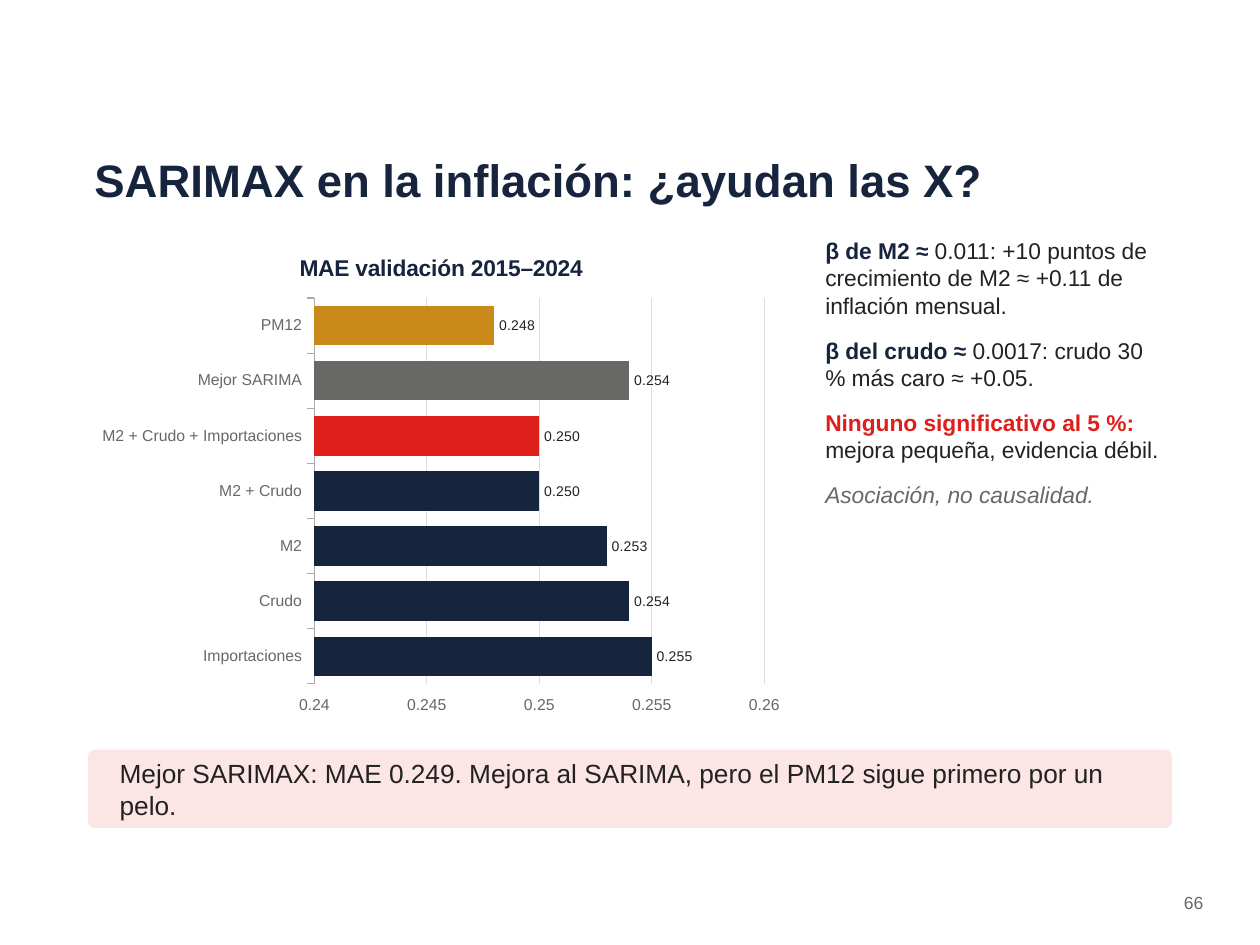
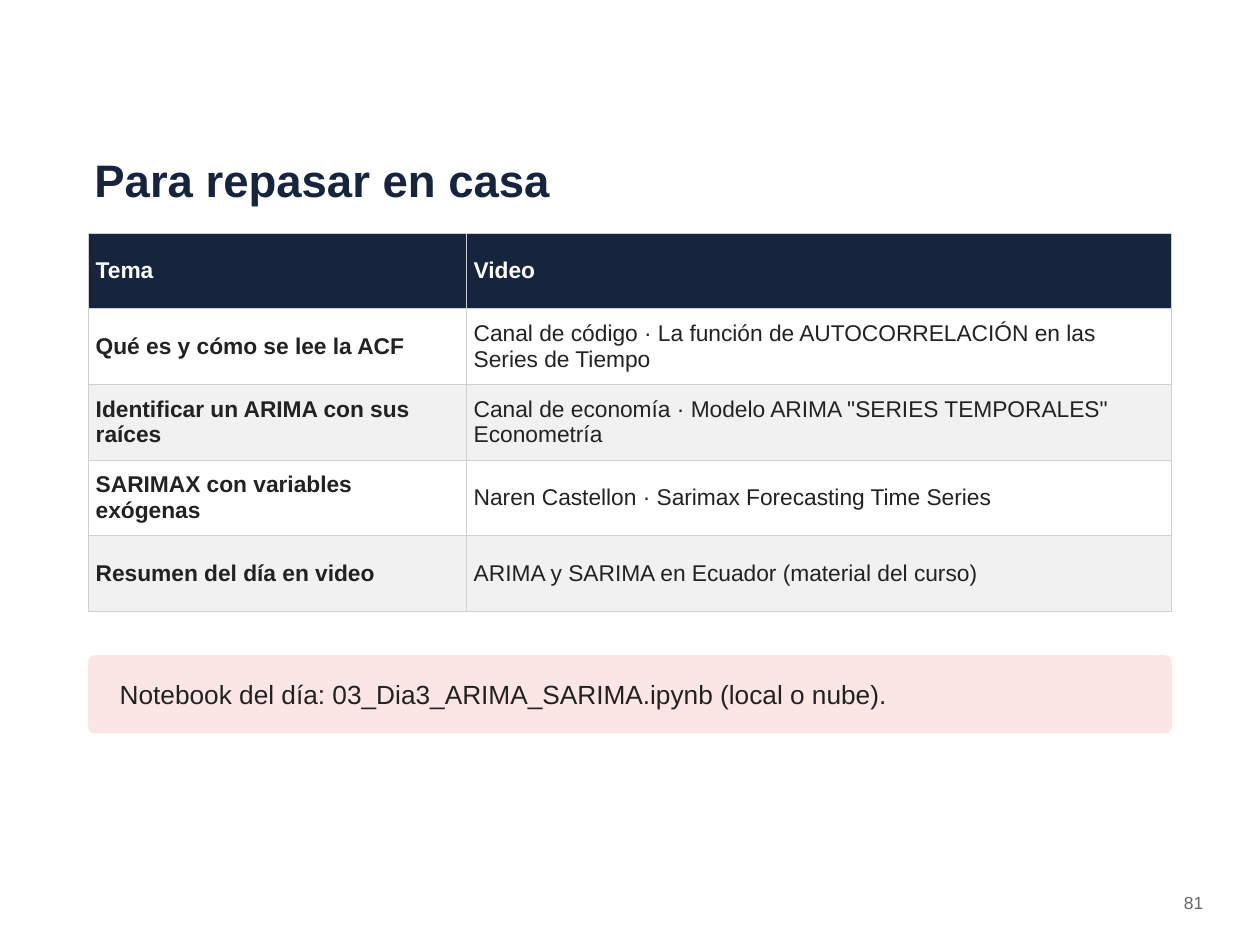
from lxml import etree
from pptx import Presentation
from pptx.chart.data import CategoryChartData
from pptx.dml.color import RGBColor
from pptx.enum.chart import XL_CHART_TYPE, XL_LABEL_POSITION, XL_TICK_LABEL_POSITION, XL_TICK_MARK
from pptx.enum.shapes import MSO_SHAPE
from pptx.enum.text import MSO_ANCHOR, PP_ALIGN
from pptx.oxml.ns import qn
from pptx.util import Inches, Pt

BAR = XL_CHART_TYPE.BAR_CLUSTERED
OUTSIDE_END = XL_LABEL_POSITION.OUTSIDE_END
LOW = XL_TICK_LABEL_POSITION.LOW
TICK_OUT = XL_TICK_MARK.OUTSIDE
ROUNDED = MSO_SHAPE.ROUNDED_RECTANGLE
TOP, MIDDLE = MSO_ANCHOR.TOP, MSO_ANCHOR.MIDDLE
LEFT, RIGHT = PP_ALIGN.LEFT, PP_ALIGN.RIGHT

COLORS = {
    "navy": "16243D", "red": "DF1F1C", "gold": "C98A1A", "gray": "686867",
    "text": "222222", "white": "FFFFFF", "stripe": "F1F1F1", "callout": "FBE6E5",
    "border": "D0D0D0", "axis": "AAAAAA", "grid": "DDDDDD",
}
MARGIN, CONTENT_WIDTH, CONTENT_TOP = 0.7, 8.6, 1.85


def rgb(name):
    return RGBColor.from_string(COLORS[name])


def set_attributes(target, values):
    for name, value in values.items():
        setattr(target, name, value)


class Deck:
    """Holds the shared style and the slide being built."""

    font_name = "Arial"

    def __init__(self):
        self.presentation = Presentation()
        self.presentation.slide_width = Inches(10)
        self.presentation.slide_height = Inches(7.5)
        self.slide = None

    def add_slide(self, title, number):
        self.slide = self.presentation.slides.add_slide(self.presentation.slide_layouts[6])
        self.add_text((MARGIN, 1.05, CONTENT_WIDTH, 0.75),
                      [[(title, "navy", {"bold": True})]], 26, anchor=MIDDLE)
        self.add_text((9, 7.05, 0.6, 0.3), [[(number, "gray", {})]], 10, align=RIGHT)

    def style_font(self, font, size, color, **extra):
        set_attributes(font, {"name": self.font_name, "size": Pt(size), **extra})
        font.color.rgb = rgb(color)

    def add_text(self, box, paragraphs, size, anchor=TOP, align=LEFT, space_after=4):
        """Each paragraph is a list of (text, color, font values) runs."""
        frame = self.slide.shapes.add_textbox(*map(Inches, box)).text_frame
        set_attributes(frame, {
            "word_wrap": True, "vertical_anchor": anchor,
            "margin_left": Inches(0.05), "margin_right": Inches(0.05),
            "margin_top": Inches(0.03), "margin_bottom": Inches(0.03),
        })
        for index, runs in enumerate(paragraphs):
            paragraph = frame.add_paragraph() if index else frame.paragraphs[0]
            set_attributes(paragraph, {"alignment": align, "space_after": Pt(space_after)})
            for text, color, extra in runs:
                run = paragraph.add_run()
                run.text = text
                self.style_font(run.font, size, color, **extra)

    def add_callout(self, top, text):
        height = 0.62
        band = self.slide.shapes.add_shape(
            ROUNDED, *map(Inches, (MARGIN, top, CONTENT_WIDTH, height)))
        band.adjustments[0] = 0.08
        band.shadow.inherit = False
        band.fill.solid()
        band.fill.fore_color.rgb = rgb("callout")
        band.line.fill.background()
        self.add_text((MARGIN + 0.2, top, CONTENT_WIDTH - 0.4, height),
                      [[(text, "text", {})]], 15, anchor=MIDDLE)

    def add_bar_chart(self, box, title, bars, minimum, maximum):
        """Each bar is (category, value, color), listed from the bottom up."""
        data = CategoryChartData()
        data.categories = [category for category, _, _ in bars]
        data.add_series("MAE", [value for _, value, _ in bars])
        chart = self.slide.shapes.add_chart(BAR, *map(Inches, box), data).chart
        chart.has_legend = False
        set_attributes(chart.font, {"name": self.font_name, "size": Pt(9)})
        chart.has_title = True
        chart.chart_title.include_in_layout = False
        paragraph = chart.chart_title.text_frame.paragraphs[0]
        run = paragraph.add_run()
        run.text = title
        self.style_font(run.font, 13, "navy", bold=True)

        plot = chart.plots[0]
        set_attributes(plot, {"gap_width": 40, "vary_by_categories": False,
                              "has_data_labels": True})
        set_attributes(plot.data_labels, {
            "show_value": True, "position": OUTSIDE_END,
            "number_format": "0.000", "number_format_is_linked": False,
        })
        self.style_font(plot.data_labels.font, 8, "text")
        for index, (_, _, color) in enumerate(bars):
            fill = plot.series[0].points[index].format.fill
            fill.solid()
            fill.fore_color.rgb = rgb(color)

        for axis in (chart.category_axis, chart.value_axis):
            axis.major_tick_mark = TICK_OUT
            self.style_font(axis.tick_labels.font, 9, "gray")
        chart.category_axis.tick_label_position = LOW
        chart.category_axis.format.line.color.rgb = rgb("axis")
        chart.category_axis.format.line.width = Pt(0.75)
        set_attributes(chart.value_axis, {
            "minimum_scale": minimum, "maximum_scale": maximum, "has_major_gridlines": True})
        chart.value_axis.format.line.fill.background()
        gridline = chart.value_axis.major_gridlines.format.line
        gridline.color.rgb = rgb("grid")
        gridline.width = Pt(0.5)

    def add_cell_borders(self, cell):
        properties = cell._tc.get_or_add_tcPr()
        for side in ("L", "R", "T", "B"):
            line = etree.SubElement(properties, qn(f"a:ln{side}"), w=str(Pt(0.5)))
            fill = etree.SubElement(line, qn("a:solidFill"))
            etree.SubElement(fill, qn("a:srgbClr"), val=COLORS["border"])

    def add_table(self, top, column_widths, row_height, rows):
        """The first row is the header; the first column is bold."""
        table = self.slide.shapes.add_table(
            len(rows), len(column_widths), Inches(MARGIN), Inches(top),
            Inches(sum(column_widths)), Inches(row_height * len(rows))).table
        for column, width in zip(table.columns, column_widths):
            column.width = Inches(width)
        for row_index, row in enumerate(rows):
            is_header = row_index == 0
            background = "navy" if is_header else ("stripe", "white")[row_index % 2]
            for column_index, text in enumerate(row):
                cell = table.cell(row_index, column_index)
                set_attributes(cell, {
                    "vertical_anchor": MIDDLE,
                    "margin_left": Inches(0.06), "margin_right": Inches(0.06),
                    "margin_top": Inches(0.03), "margin_bottom": Inches(0.03),
                })
                self.add_cell_borders(cell)
                cell.fill.solid()
                cell.fill.fore_color.rgb = rgb(background)
                run = cell.text_frame.paragraphs[0].add_run()
                run.text = text
                self.style_font(run.font, 13, "white" if is_header else "text",
                                bold=is_header or column_index == 0)


def add_sarimax_slide(deck):
    deck.add_slide("SARIMAX en la inflación: ¿ayudan las X?", "66")
    deck.add_bar_chart((MARGIN, CONTENT_TOP, 5.6, 3.9), "MAE validación 2015–2024", [
        ("Importaciones", 0.255, "navy"),
        ("Crudo", 0.254, "navy"),
        ("M2", 0.253, "navy"),
        ("M2 + Crudo", 0.250, "navy"),
        ("M2 + Crudo + Importaciones", 0.250, "red"),
        ("Mejor SARIMA", 0.254, "gray"),
        ("PM12", 0.248, "gold"),
    ], 0.24, 0.26)
    bold = {"bold": True}
    deck.add_text((6.5, CONTENT_TOP, 2.8, 3.9), [
        [("β de M2 ≈ ", "navy", bold),
         ("0.011: +10 puntos de crecimiento de M2 ≈ +0.11 de inflación mensual.", "text", {})],
        [("β del crudo ≈ ", "navy", bold),
         ("0.0017: crudo 30 % más caro ≈ +0.05.", "text", {})],
        [("Ninguno significativo al 5 %: ", "red", bold),
         ("mejora pequeña, evidencia débil.", "text", {})],
        [("Asociación, no causalidad.", "gray", {"italic": True})],
    ], 13, space_after=10)
    deck.add_callout(5.95, "Mejor SARIMAX: MAE 0.249. Mejora al SARIMA, "
                           "pero el PM12 sigue primero por un pelo.")


def add_review_slide(deck):
    deck.add_slide("Para repasar en casa", "81")
    deck.add_table(CONTENT_TOP, (3, 5.6), 0.6, [
        ("Tema", "Video"),
        ("Qué es y cómo se lee la ACF",
         "Canal de código · La función de AUTOCORRELACIÓN en las Series de Tiempo"),
        ("Identificar un ARIMA con sus raíces",
         'Canal de economía · Modelo ARIMA "SERIES TEMPORALES" Econometría'),
        ("SARIMAX con variables exógenas",
         "Naren Castellon · Sarimax Forecasting Time Series"),
        ("Resumen del día en video", "ARIMA y SARIMA en Ecuador (material del curso)"),
    ])
    deck.add_callout(5.2, "Notebook del día: 03_Dia3_ARIMA_SARIMA.ipynb (local o nube).")


def main():
    deck = Deck()
    add_sarimax_slide(deck)
    add_review_slide(deck)
    deck.presentation.save("out.pptx")


if __name__ == "__main__":
    main()
